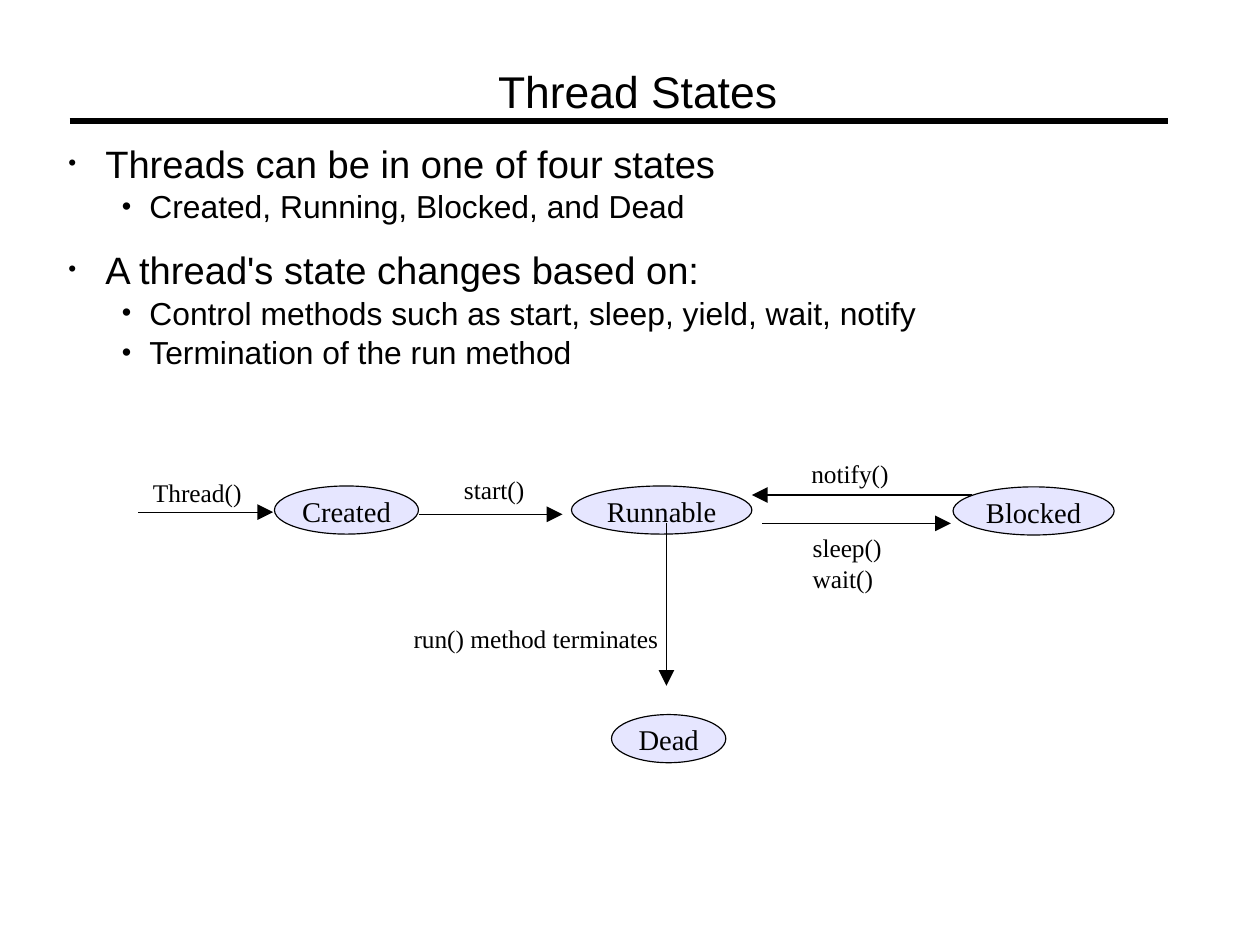
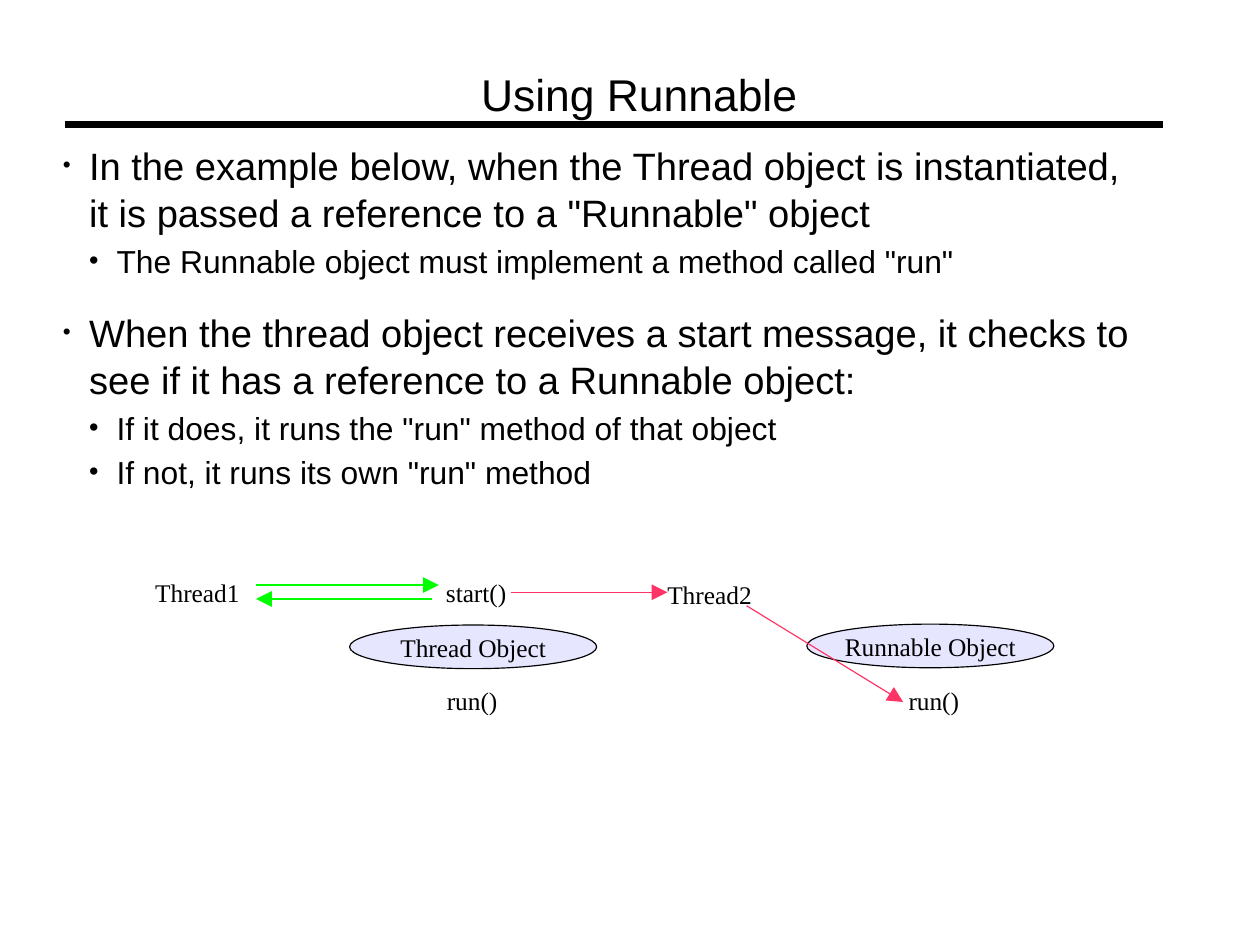
from dataclasses import dataclass
from typing import Any

from pptx import Presentation
from pptx.dml.color import RGBColor
from pptx.enum.shapes import MSO_CONNECTOR, MSO_SHAPE
from pptx.enum.text import MSO_ANCHOR, MSO_AUTO_SIZE, PP_ALIGN
from pptx.oxml.ns import qn
from pptx.oxml.xmlchemy import OxmlElement
from pptx.slide import Slide
from pptx.text.text import TextFrame
from pptx.util import Cm, Pt


@dataclass(frozen=True)
class Theme:
    black: RGBColor = RGBColor(0x00, 0x00, 0x00)
    lavender: RGBColor = RGBColor(0xE6, 0xE6, 0xFF)
    green: RGBColor = RGBColor(0x00, 0xFF, 0x00)
    red: RGBColor = RGBColor(0xFF, 0x33, 0x66)
    heading_font: str = "Arial"
    diagram_font: str = "Times New Roman"
    title_size: float = 28
    body_sizes: tuple[float, float] = (24, 20)
    bullet_percents: tuple[int, int] = (59, 85)
    label_size: float = 16
    state_size: float = 18
    rule_width: float = 4.31
    line_width: float = 0.75
    line_spacing: float = 1.04
    group_gap: float = 12


THEME = Theme()


# All positions and lengths below are in centimetres.
@dataclass(frozen=True)
class Topic:
    text: str
    details: tuple[str, ...]


@dataclass(frozen=True)
class Node:
    text: str
    left: float
    top: float
    width: float
    height: float = 1.07
    size: float = THEME.state_size


@dataclass(frozen=True)
class Label:
    text: str
    left: float
    top: float
    width: float = 2.2


@dataclass(frozen=True)
class Arrow:
    start: tuple[float, float]
    end: tuple[float, float]
    color: RGBColor = THEME.black


@dataclass(frozen=True)
class Page:
    title: str
    title_at: tuple[float, float]
    rule_at: tuple[float, float]
    body_box: tuple[float, float, float, float]
    text_indents: tuple[float, float]
    hangs: tuple[float, float]
    space_before: float
    topics: tuple[Topic, ...]
    nodes: tuple[Node, ...]
    labels: tuple[Label, ...]
    arrows: tuple[Arrow, ...]


TITLE_EXTENT = (11.86, 1.19)
RULE_LENGTH = 24.4

PAGES = (
    Page(
        title="Thread States",
        title_at=(11.07, 1.37),
        rule_at=(1.55, 2.69),
        body_box=(1.52, 3.07, 24.08, 5.84),
        text_indents=(0.82, 1.8),
        hangs=(0.82, 0.61),
        space_before=0,
        topics=(
            Topic("Threads can be in one of four states",
                  ("Created, Running, Blocked, and Dead",)),
            Topic("A thread's state changes based on:",
                  ("Control methods such as start, sleep, yield, wait, notify",
                   "Termination of the run method")),
        ),
        nodes=(
            Node("Created", 6.1, 10.8, 3.2),
            Node("Runnable", 12.7, 10.8, 4.01),
            Node("Blocked", 21.18, 10.82, 3.58),
            Node("Dead", 13.59, 15.88, 2.54),
        ),
        labels=(
            Label("Thread()", 3.4, 10.57),
            Label("start()", 10.31, 10.52),
            Label("notify()", 18.03, 10.16),
            Label("sleep()\nwait()", 18.06, 11.79),
            Label("run() method terminates", 9.19, 13.82, 5.6),
        ),
        arrows=(
            Arrow((3.07, 11.38), (6.07, 11.38)),
            Arrow((9.32, 11.43), (12.5, 11.43)),
            Arrow((16.94, 11.63), (21.13, 11.63)),
            Arrow((21.59, 11), (16.71, 11)),
            Arrow((14.81, 11.63), (14.81, 15.24)),
        ),
    ),
    Page(
        title="Using Runnable",
        title_at=(10.69, 1.45),
        rule_at=(1.45, 2.77),
        body_box=(1.4, 3.12, 24.08, 7.52),
        text_indents=(0.58, 1.19),
        hangs=(0.58, 0.61),
        space_before=2.8,
        topics=(
            Topic("In the example below, when the Thread object is instantiated, "
                  "it is passed a reference to a \"Runnable\" object",
                  ("The Runnable object must implement a method called \"run\"",)),
            Topic("When the thread object receives a start message, it checks to "
                  "see if it has a reference to a Runnable object:",
                  ("If it does, it runs the \"run\" method of that object",
                   "If not, it runs its own \"run\" method")),
        ),
        nodes=(
            Node("Thread Object", 7.77, 13.89, 5.49, 0.97, THEME.label_size),
            Node("Runnable Object", 17.93, 13.87, 5.49, 0.97, THEME.label_size),
        ),
        labels=(
            Label("Thread1", 3.45, 12.8),
            Label("start()", 9.91, 12.8),
            Label("Thread2", 14.83, 12.85),
            Label("run()", 9.93, 15.19),
            Label("run()", 20.19, 15.19),
        ),
        arrows=(
            Arrow((5.69, 13), (9.75, 13), THEME.green),
            Arrow((9.6, 13.31), (5.69, 13.31), THEME.green),
            Arrow((11.35, 13.16), (14.83, 13.16), THEME.red),
            Arrow((16.59, 13.46), (20.07, 15.6), THEME.red),
        ),
    ),
)


def apply_format(target: Any, values: dict[str, Any]) -> None:
    for name, value in values.items():
        setattr(target, name, value)


def place(target: Any, left: float, top: float, width: float, height: float) -> None:
    apply_format(target, {"left": Cm(left), "top": Cm(top),
                          "width": Cm(width), "height": Cm(height)})


def format_frame(frame: TextFrame, anchor: MSO_ANCHOR = MSO_ANCHOR.TOP) -> None:
    apply_format(frame, {"margin_left": 0, "margin_top": 0, "margin_right": 0,
                         "margin_bottom": 0, "word_wrap": True,
                         "auto_size": MSO_AUTO_SIZE.NONE, "vertical_anchor": anchor})


def format_paragraph(paragraph: Any, font: str, size: float,
                     alignment: PP_ALIGN = PP_ALIGN.LEFT, before: float = 0) -> None:
    apply_format(paragraph, {"alignment": alignment, "space_before": Pt(before),
                             "space_after": Pt(0), "line_spacing": THEME.line_spacing})
    apply_format(paragraph.font, {"name": font, "size": Pt(size), "bold": False})
    paragraph.font.color.rgb = THEME.black


def add_bullet(paragraph: Any, indent: float, hang: float, percent: int) -> None:
    properties = paragraph._p.get_or_add_pPr()
    properties.set("marL", str(Cm(indent)))
    properties.set("indent", str(-Cm(hang)))
    for tag, attribute, value in (("a:buSzPct", "val", str(percent * 1000)),
                                  ("a:buFont", "typeface", THEME.heading_font),
                                  ("a:buChar", "char", "•")):
        part = OxmlElement(tag)
        part.set(attribute, value)
        properties.append(part)


def draw_line(slide: Slide, arrow: Arrow, width: float, pointed: bool) -> None:
    ends = [Cm(value) for value in (*arrow.start, *arrow.end)]
    connector = slide.shapes.add_connector(MSO_CONNECTOR.STRAIGHT, *ends)
    connector.line.width = Pt(width)
    connector.line.color.rgb = arrow.color
    properties = connector.element.spPr
    if pointed:
        head = OxmlElement("a:tailEnd")
        for name, value in {"type": "triangle", "w": "lg", "len": "lg"}.items():
            head.set(name, value)
        properties.find(qn("a:ln")).append(head)
    properties.append(OxmlElement("a:effectLst"))


def draw_heading(slide: Slide, page: Page) -> None:
    title = slide.shapes.title
    place(title, *page.title_at, *TITLE_EXTENT)
    title.text_frame.text = page.title
    format_frame(title.text_frame)
    format_paragraph(title.text_frame.paragraphs[0], THEME.heading_font, THEME.title_size)
    left, top = page.rule_at
    draw_line(slide, Arrow((left, top), (left + RULE_LENGTH, top)),
              THEME.rule_width, pointed=False)


def draw_topics(slide: Slide, page: Page) -> None:
    body = slide.placeholders[1]
    place(body, *page.body_box)
    frame = body.text_frame
    format_frame(frame)
    lines = [(level, text) for topic in page.topics
             for level, text in ((0, topic.text), *((1, detail) for detail in topic.details))]
    frame.text = "\n".join(text for _, text in lines)
    for index, (paragraph, (level, _)) in enumerate(zip(frame.paragraphs, lines)):
        starts_group = index > 0 and level == 0
        before = (THEME.group_gap + 2 * page.space_before
                  if starts_group else page.space_before)
        paragraph.level = level
        format_paragraph(paragraph, THEME.heading_font, THEME.body_sizes[level], before=before)
        add_bullet(paragraph, page.text_indents[level], page.hangs[level],
                   THEME.bullet_percents[level])


def draw_node(slide: Slide, node: Node) -> None:
    box = [Cm(value) for value in (node.left, node.top, node.width, node.height)]
    ellipse = slide.shapes.add_shape(MSO_SHAPE.OVAL, *box)
    ellipse.shadow.inherit = False
    ellipse.fill.solid()
    ellipse.fill.fore_color.rgb = THEME.lavender
    ellipse.line.color.rgb = THEME.black
    ellipse.line.width = Pt(THEME.line_width)
    ellipse.text_frame.text = node.text
    format_frame(ellipse.text_frame, MSO_ANCHOR.MIDDLE)
    format_paragraph(ellipse.text_frame.paragraphs[0], THEME.diagram_font,
                     node.size, PP_ALIGN.CENTER)


def draw_label(slide: Slide, label: Label) -> None:
    height = 0.69 * len(label.text.splitlines())
    box = [Cm(value) for value in (label.left, label.top, label.width, height)]
    frame = slide.shapes.add_textbox(*box).text_frame
    frame.text = label.text
    format_frame(frame)
    for paragraph in frame.paragraphs:
        format_paragraph(paragraph, THEME.diagram_font, THEME.label_size)


def draw_page(slide: Slide, page: Page) -> None:
    draw_heading(slide, page)
    draw_topics(slide, page)
    for node in page.nodes:
        draw_node(slide, node)
    for label in page.labels:
        draw_label(slide, label)
    for arrow in page.arrows:
        draw_line(slide, arrow, THEME.line_width, pointed=True)


def main() -> None:
    deck = Presentation()
    apply_format(deck, {"slide_width": Cm(28), "slide_height": Cm(21)})
    title_and_content = deck.slide_layouts[1]
    for page in PAGES:
        draw_page(deck.slides.add_slide(title_and_content), page)
    deck.save("out.pptx")


if __name__ == "__main__":
    main()
